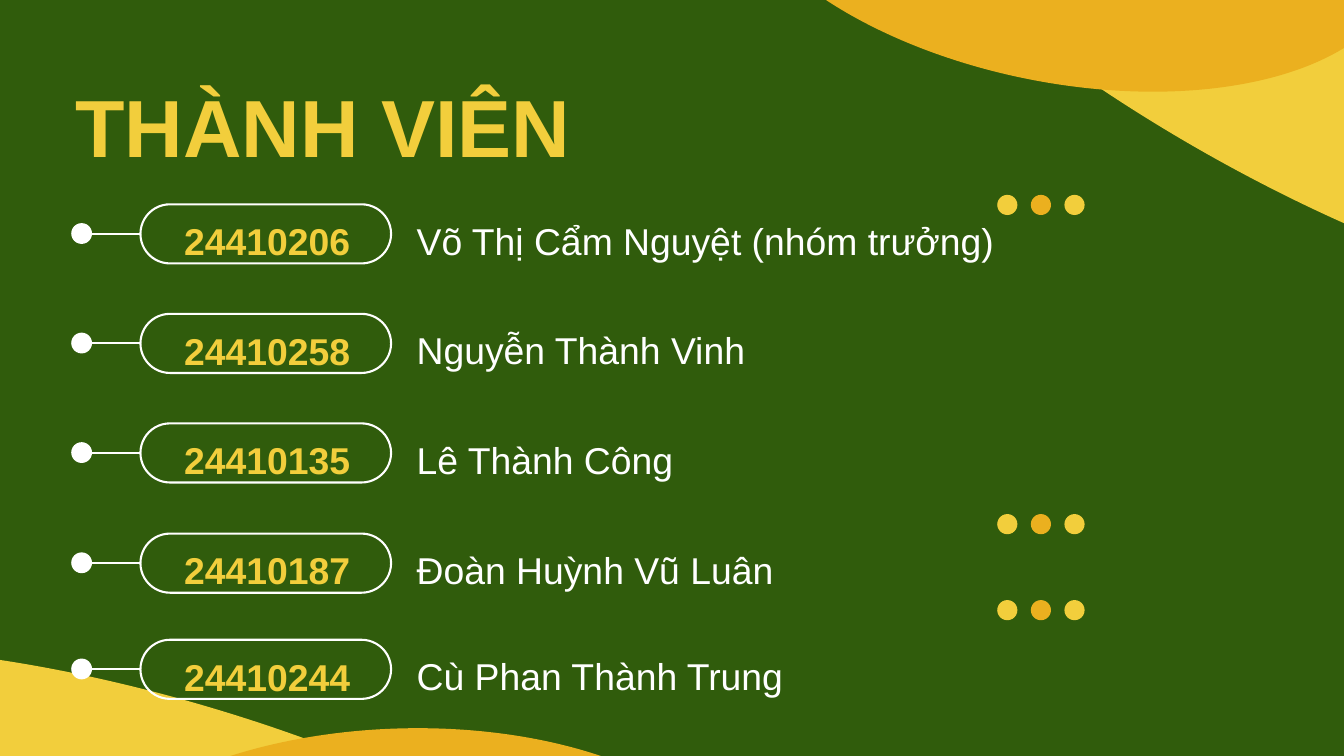
from dataclasses import dataclass

from lxml.etree import SubElement
from pptx import Presentation
from pptx.dml.color import RGBColor
from pptx.enum.shapes import MSO_CONNECTOR, MSO_SHAPE
from pptx.enum.text import MSO_ANCHOR, MSO_AUTO_SIZE, PP_ALIGN
from pptx.oxml.ns import qn
from pptx.util import Emu, Pt


@dataclass(frozen=True)
class Theme:
    """Colours, font and point sizes of the slide."""
    green: str = "305C0C"
    yellow: str = "F2CE3C"
    amber: str = "EBB01F"
    white: str = "FFFFFF"
    font: str = "Arial"
    title_size: float = 86.8
    body_size: float = 40
    line_width: float = 2.25


THEME = Theme()
PX_PER_INCH = 100
EMU_PER_PX = 914400 // PX_PER_INCH

MEMBERS = [
    ("24410206", "Võ Thị Cẩm Nguyệt (nhóm trưởng)", 298),
    ("24410258", "Nguyễn Thành Vinh", 461),
    ("24410135", "Lê Thành Công", 624),
    ("24410187", "Đoàn Huỳnh Vũ Luân", 788),
    ("24410244", "Cù Phan Thành Trung", 946),
]
CURVES = [
    ((-576, 1045, 1647, 535), 16.8, THEME.yellow),
    ((82, 1084, 1034, 535), -1.8, THEME.amber),
    ((1089, -280, 1647, 535), 29.9, THEME.yellow),
    ((1066, -412, 1034, 535), 11.2, THEME.amber),
]
DOT_TRIO_TOPS = [290, 765, 893]


def px(*lengths):
    """Turn px lengths into EMU."""
    return [Emu(length * EMU_PER_PX) for length in lengths]


def rgb(colour):
    """Turn a hex string into a colour."""
    return RGBColor.from_string(colour)


def write(holder, text, size, colour, spacing, align, bold=False):
    """Write one formatted paragraph into a margin-free text holder."""
    frame = holder.text_frame
    frame.text = text
    frame.word_wrap = True
    frame.auto_size = MSO_AUTO_SIZE.SHAPE_TO_FIT_TEXT
    frame.vertical_anchor = MSO_ANCHOR.TOP
    frame.margin_left = frame.margin_right = 0
    frame.margin_top = frame.margin_bottom = 0
    paragraph = frame.paragraphs[0]
    paragraph.alignment = align
    paragraph.line_spacing = spacing
    font = paragraph.runs[0].font
    font.name, font.size, font.bold = THEME.font, Pt(size), bold
    font.color.rgb = rgb(colour)


def add_oval(slide, box, colour, rotation=0):
    """Add a plain filled oval in the box."""
    oval = slide.shapes.add_shape(MSO_SHAPE.OVAL, *px(*box))
    oval.shadow.inherit = False
    oval.fill.solid()
    oval.fill.fore_color.rgb = rgb(colour)
    oval.line.fill.background()
    oval.rotation = rotation


def add_title(slide, box):
    """Move and format the title placeholder."""
    title = slide.shapes.title
    title.left, title.top, title.width, title.height = px(*box)
    write(title, "THÀNH VIÊN", THEME.title_size, THEME.yellow, 1.04,
          PP_ALIGN.LEFT, bold=True)


def add_dot_trio(slide, box):
    """Add three dots spread evenly across the box."""
    left, top, width, height = box
    pitch = (width - height) // 2
    for index, colour in enumerate([THEME.yellow, THEME.amber, THEME.yellow]):
        add_oval(slide, (left + index * pitch, top, height, height), colour)


def add_member(slide, box, student_id, name):
    """Add one member row: marker, stem, outlined student number and name."""
    left, top, width, height = box
    middle = top + height // 2

    name_box = slide.shapes.add_textbox(*px(left + 514, top, width - 514, 83))
    write(name_box, name, THEME.body_size, THEME.white, 1.4, PP_ALIGN.JUSTIFY)

    stem = slide.shapes.add_connector(
        MSO_CONNECTOR.STRAIGHT, *px(left + 13, middle, left + 103, middle))
    SubElement(stem._element.spPr, qn("a:effectLst"))
    add_oval(slide, (left, middle - 16, 31, 31), THEME.white)

    pill = slide.shapes.add_shape(
        MSO_SHAPE.ROUNDED_RECTANGLE, *px(left + 103, middle - 44, 373, 88))
    pill.adjustments[0] = 0.5
    pill.shadow.inherit = False
    pill.fill.background()
    for outlined in (stem, pill):
        outlined.line.color.rgb = rgb(THEME.white)
        outlined.line.width = Pt(THEME.line_width)

    id_box = slide.shapes.add_textbox(*px(left + 107, middle - 35, 369, 74))
    write(id_box, student_id, THEME.body_size, THEME.yellow, 1.18,
          PP_ALIGN.CENTER, bold=True)


def main():
    """Build the members slide and save it."""
    deck = Presentation()
    deck.slide_width, deck.slide_height = px(2000, 1125)
    slide = deck.slides.add_slide(deck.slide_layouts[5])
    slide.background.fill.solid()
    slide.background.fill.fore_color.rgb = rgb(THEME.green)

    add_title(slide, (112, 108, 1168, 148))
    for box, rotation, colour in CURVES:
        add_oval(slide, box, colour, rotation)
    for student_id, name, top in MEMBERS:
        add_member(slide, (106, top, 1782, 100), student_id, name)
    for top in DOT_TRIO_TOPS:
        add_dot_trio(slide, (1484, top, 130, 30))

    deck.save("out.pptx")


if __name__ == "__main__":
    main()
